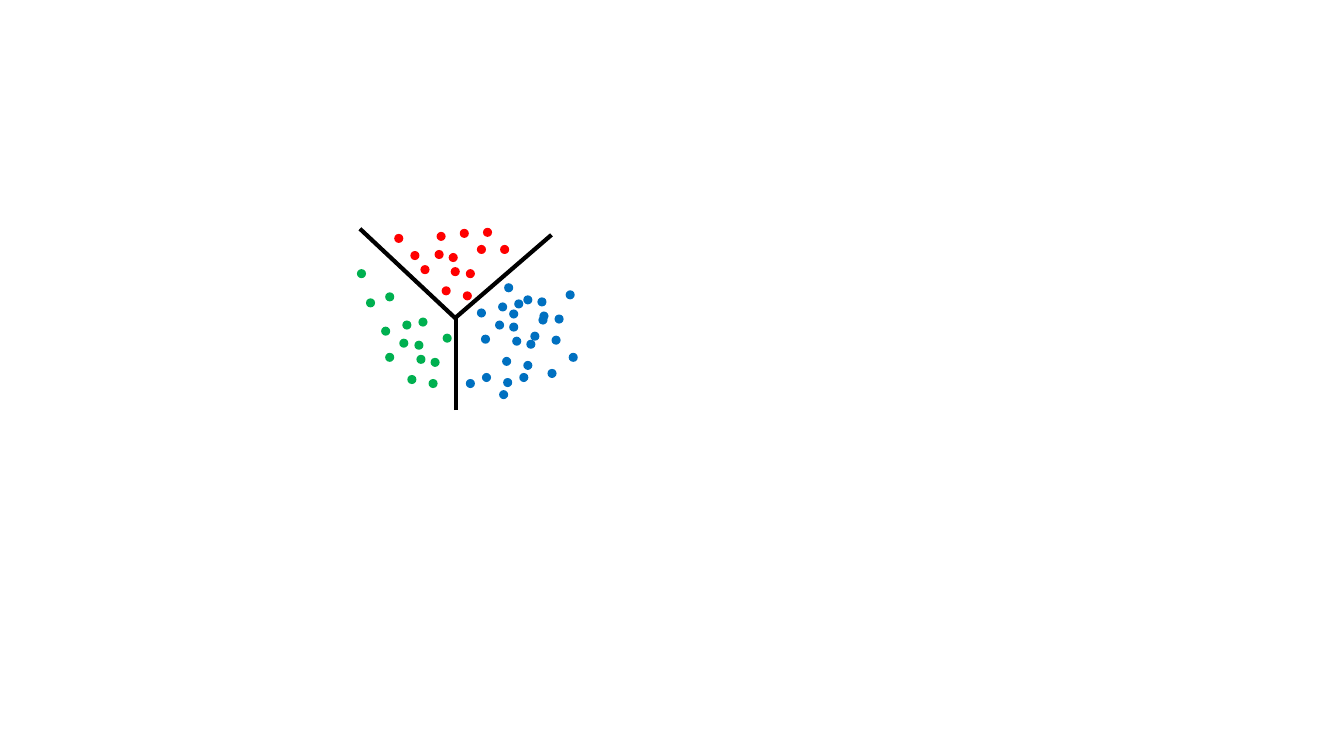
"""Three clusters of dots, parted by three border lines."""
from pptx import Presentation, util as u
from pptx.dml.color import RGBColor
from pptx.enum import shapes
from pptx.oxml import parse_xml
from pptx.oxml.ns import nsdecls

RED = RGBColor(0xFF, 0x00, 0x00)
GREEN = RGBColor(0x00, 0xB0, 0x50)
BLUE = RGBColor(0x00, 0x70, 0xC0)
BLACK = RGBColor(0x00, 0x00, 0x00)

# Grid cells of a hundredth of an inch: (column, row) of each dot's top left.
CLUSTERS = {
    RED: [
        (391, 232), (407, 249), (438, 284), (456, 227), (473, 243),
        (433, 230), (431, 248), (447, 265), (479, 226), (496, 243),
        (445, 251), (462, 267), (417, 263), (459, 289),
    ],
    GREEN: [
        (363, 296), (378, 324), (404, 372), (354, 267), (439, 331),
        (399, 318), (396, 336), (413, 352), (415, 315), (382, 290),
        (411, 338), (427, 355), (382, 350), (425, 376),
    ],
    BLUE: [
        (473, 306), (498, 354), (534, 313), (494, 300), (491, 318),
        (508, 334), (510, 297), (505, 320), (522, 337), (477, 332),
        (519, 358), (462, 376), (500, 281), (526, 329), (561, 288),
        (519, 293), (535, 309), (533, 295), (550, 312), (505, 307),
        (547, 333), (564, 350), (515, 370), (478, 370), (499, 375),
        (543, 366), (495, 387),
    ],
}
BORDERS = [
    ((357, 227), (453, 317)),
    ((452, 315), (547, 233)),
    ((452, 407), (452, 313)),
]


class Sketch:
    """Holds the style and the current slide."""

    cell = u.Inches(0.01)
    dot_size = 9
    line_width = u.Pt(3)

    def __init__(self, deck):
        """Add a blank slide to the deck."""
        self.slide = deck.slides.add_slide(deck.slide_layouts[6])

    def grid(self, *cells):
        """Turn grid counts into lengths."""
        return [self.cell * n for n in cells]

    def dot(self, col, row, color):
        """Draw a plain round dot."""
        box = self.grid(col, row, self.dot_size, self.dot_size)
        dot = self.slide.shapes.add_shape(shapes.MSO_SHAPE.OVAL, *box)
        dot.shadow.inherit = False
        dot.fill.solid()
        dot.fill.fore_color.rgb = color
        dot.line.fill.background()

    def border(self, start, end):
        """Draw a straight line between two grid points."""
        line = self.slide.shapes.add_connector(
            shapes.MSO_CONNECTOR.STRAIGHT, *self.grid(*start, *end))
        line.line.color.rgb = BLACK
        line.line.width = self.line_width
        line._element.spPr.append(
            parse_xml(f"<a:effectLst {nsdecls('a')}/>"))


def main():
    """Build the slide and save it."""
    deck = Presentation()
    deck.slide_width, deck.slide_height = u.Inches(13.33), u.Inches(7.5)
    sketch = Sketch(deck)
    for color, dots in CLUSTERS.items():
        for col, row in dots:
            sketch.dot(col, row, color)
    for start, end in BORDERS:
        sketch.border(start, end)
    deck.save("out.pptx")


main()
